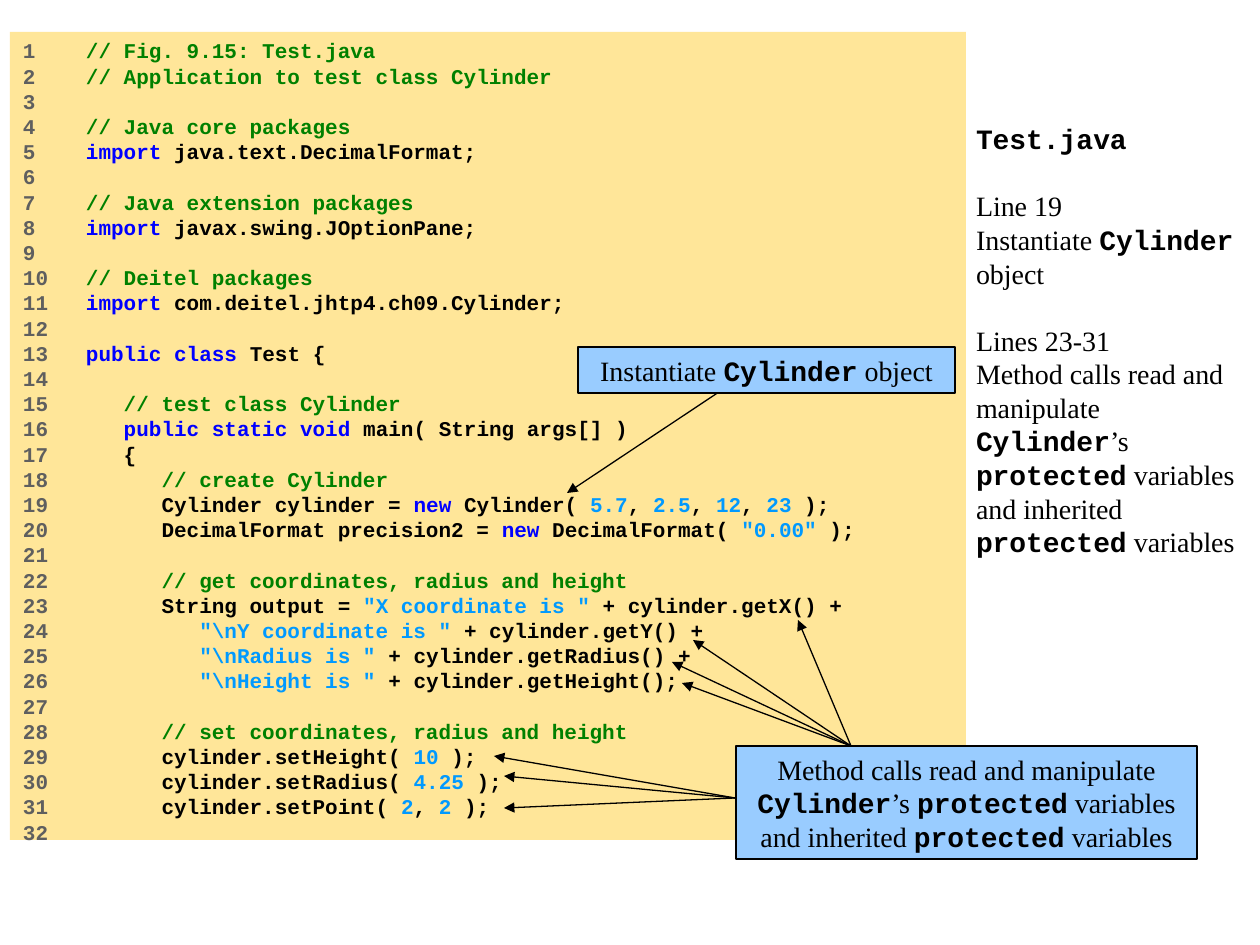
from dataclasses import dataclass

from lxml import etree
from pptx import Presentation
from pptx import util as u
from pptx.dml.color import RGBColor
from pptx.enum import shapes, text
from pptx.oxml.ns import qn

SCALE = 914400 / 126


def px(num):
    return u.Emu(round(num * SCALE))


@dataclass(frozen=True)
class Theme:
    panel: str = "FFE699"
    box: str = "99CCFF"
    ink: str = "000000"
    count: str = "5F5F5F"
    note: str = "008000"
    key: str = "0000FF"
    value: str = "0099FF"
    mono: str = "Courier New"
    serif: str = "Times New Roman"
    code: int = 12
    body: int = 16
    rule: float = 0.75
    gap: float = 19.1


class Deck:
    def __init__(self, theme):
        self.theme = theme
        self.show = Presentation()
        self.show.slide_width, self.show.slide_height = px(1260), px(945)
        self.slide = self.show.slides.add_slide(self.show.slide_layouts[6])

    def run(self, para, words, color, size, mono):
        run = para.add_run()
        run.text = words
        font = run.font
        font.name = self.theme.mono if mono else self.theme.serif
        font.size, font.bold = u.Pt(size), mono
        font.color.rgb = RGBColor.from_string(color)

    def frame(self, shape, left=13):
        frame = shape.text_frame
        frame.word_wrap = True
        frame.vertical_anchor = text.MSO_ANCHOR.TOP
        frame.margin_left, frame.margin_right = px(left), px(13)
        frame.margin_top = frame.margin_bottom = px(6)
        return frame

    def paras(self, frame, count):
        yield frame.paragraphs[0]
        for _ in range(count - 1):
            yield frame.add_paragraph()

    def prose(self, para, runs):
        """Runs alternate between serif text and bold code words."""
        for i, words in enumerate(runs):
            if words:
                self.run(para, words, self.theme.ink, self.theme.body, i % 2 == 1)

    def rect(self, area, fill, edge=False):
        shape = self.slide.shapes.add_shape(
            shapes.MSO_SHAPE.RECTANGLE, *map(px, area))
        shape.shadow.inherit = False
        shape.fill.solid()
        shape.fill.fore_color.rgb = RGBColor.from_string(fill)
        if edge:
            shape.line.color.rgb = RGBColor.from_string(self.theme.ink)
            shape.line.width = u.Pt(self.theme.rule)
        else:
            shape.line.fill.background()
        return shape

    def code(self, area, lines):
        frame = self.frame(self.rect(area, self.theme.panel))
        pairs = zip(self.paras(frame, len(lines)), lines)
        for num, (para, line) in enumerate(pairs, 1):
            para.alignment = text.PP_ALIGN.LEFT
            label = f"{num:<5}" if line else str(num)
            parts = [("count", label), *line]
            for kind, words in parts:
                self.run(para, words, getattr(self.theme, kind), self.theme.code, True)

    def aside(self, area, blocks):
        shape = self.slide.shapes.add_textbox(*map(px, area))
        frame = self.frame(shape, left=0)
        lines = [(i > 0 and j == 0, runs) for i, block in enumerate(blocks)
                 for j, runs in enumerate(block)]
        for para, (first, runs) in zip(self.paras(frame, len(lines)), lines):
            if first:
                para.space_before = u.Pt(self.theme.gap)
            self.prose(para, runs)

    def callout(self, area, runs):
        frame = self.frame(self.rect(area, self.theme.box, edge=True))
        frame.vertical_anchor = text.MSO_ANCHOR.MIDDLE
        para = frame.paragraphs[0]
        para.alignment = text.PP_ALIGN.CENTER
        self.prose(para, runs)

    def arrow(self, start, end):
        line = self.slide.shapes.add_connector(
            shapes.MSO_CONNECTOR.STRAIGHT, *map(px, (*start, *end)))
        line.line.color.rgb = RGBColor.from_string(self.theme.ink)
        line.line.width = u.Pt(self.theme.rule)
        etree.SubElement(line.line._get_or_add_ln(), qn("a:tailEnd"), type="triangle")
        etree.SubElement(line._element.spPr, qn("a:effectLst"))


def ink(words):
    return "ink", words


def key(words):
    return "key", words


def note(words):
    return "note", words


def val(words):
    return "value", words


CODE = [
    [note("// Fig. 9.15: Test.java")],
    [note("// Application to test class Cylinder")],
    [],
    [note("// Java core packages")],
    [key("import"), ink(" java.text.DecimalFormat;")],
    [],
    [note("// Java extension packages")],
    [key("import"), ink(" javax.swing.JOptionPane;")],
    [],
    [note("// Deitel packages")],
    [key("import"), ink(" com.deitel.jhtp4.ch09.Cylinder;")],
    [],
    [key("public class "), ink("Test {")],
    [],
    [note("   // test class Cylinder")],
    [key("   public static void "), ink("main( String args[] )")],
    [ink("   {")],
    [note("      // create Cylinder")],
    [ink("      Cylinder cylinder = "), key("new"), ink(" Cylinder( "), val("5.7"),
     ink(","), val(" 2.5"), ink(", "), val("12"), ink(", "), val("23"), ink(" );")],
    [ink("      DecimalFormat precision2 = "), key("new"), ink(" DecimalFormat( "),
     val('"0.00"'), ink(" );")],
    [],
    [note("      // get coordinates, radius and height")],
    [ink("      String output = "), val('"X coordinate is " '), ink("+ cylinder.getX() +")],
    [val(r'         "\nY coordinate is " '), ink("+ cylinder.getY() +")],
    [val(r'         "\nRadius is " '), ink("+ cylinder.getRadius() +")],
    [val(r'         "\nHeight is "'), ink(" + cylinder.getHeight();")],
    [],
    [note("      // set coordinates, radius and height")],
    [ink("      cylinder.setHeight( "), val("10"), ink(" );")],
    [ink("      cylinder.setRadius( "), val("4.25"), ink(" );")],
    [ink("      cylinder.setPoint( "), val("2"), ink(", "), val("2"), ink(" );")],
    [],
]

CALLS = ["Method calls read and manipulate ", "Cylinder", "’s ", "protected",
         " variables and inherited ", "protected", " variables"]


def main():
    deck = Deck(Theme())

    # Side notes
    deck.aside((976, 116, 284, 756), [
        [["", "Test.java"]],
        [["Line 19"], ["Instantiate ", "Cylinder", " object"]],
        [["Lines 23-31"], CALLS],
    ])

    # Code listing
    deck.code((10, 32, 956, 808), CODE)

    # Constructor callout
    deck.arrow((725, 388), (567, 493))
    deck.callout((578, 347, 377, 46), ["Instantiate ", "Cylinder", " object"])

    # Method callout with arrows to getters and setters
    deck.callout((736, 746, 461, 113), CALLS)
    for end in [(798, 620), (693, 640), (672, 662), (682, 683)]:
        deck.arrow((851, 746), end)
    for end in [(494, 756), (504, 776), (504, 808)]:
        deck.arrow((735, 798), end)

    deck.show.save("out.pptx")


if __name__ == "__main__":
    main()
